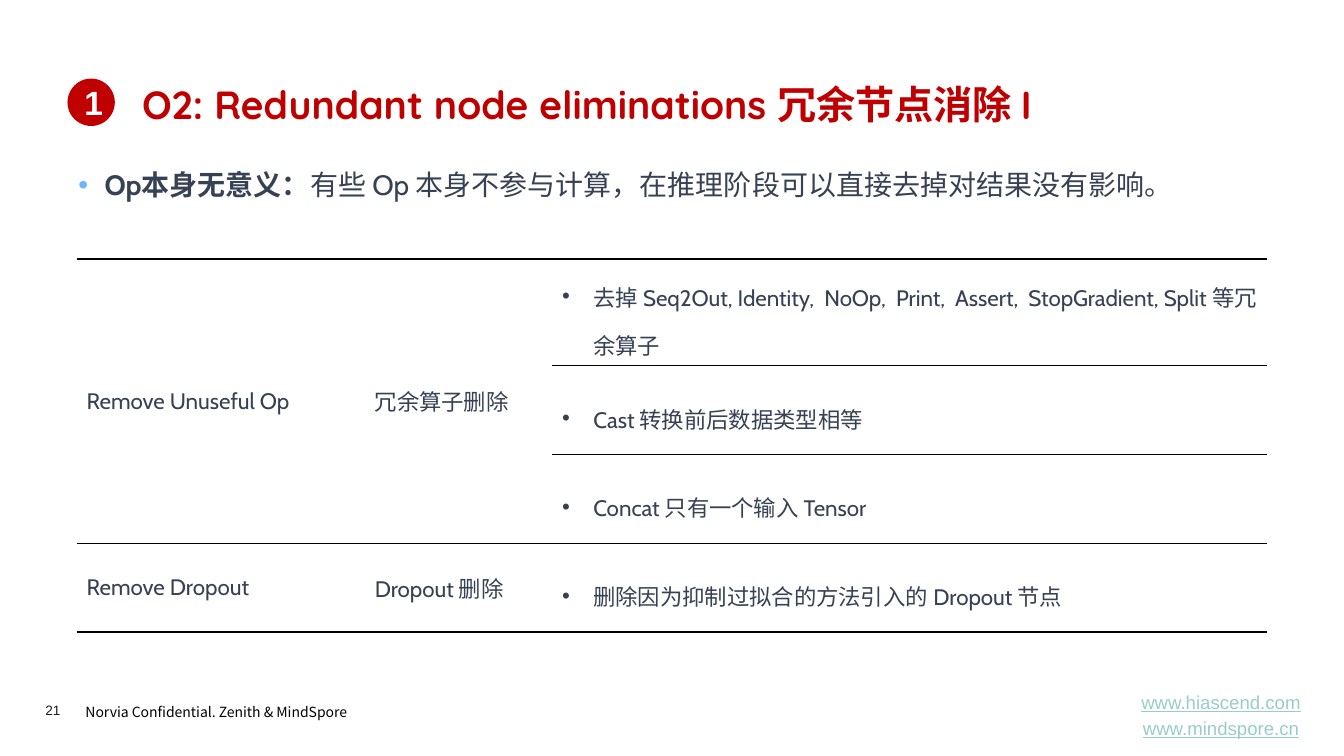
"""Build the slide on redundant node elimination with its table of removed operators."""
from lxml import etree
from pptx import Presentation
from pptx.dml.color import RGBColor
from pptx.enum.shapes import MSO_SHAPE
from pptx.enum.text import MSO_ANCHOR, MSO_AUTO_SIZE, PP_ALIGN
from pptx.oxml.ns import qn
from pptx.util import Inches, Pt

LEFT, CENTER = PP_ALIGN.LEFT, PP_ALIGN.CENTER
TOP, MIDDLE = MSO_ANCHOR.TOP, MSO_ANCHOR.MIDDLE
OVAL, NO_FIT = MSO_SHAPE.OVAL, MSO_AUTO_SIZE.NONE

TITLE = "O2: Redundant node eliminations 冗余节点消除 I"
NUMBER = "1"
INTRO = [("Op本身无意义：", True),
         ("有些 Op 本身不参与计算，在推理阶段可以直接去掉对结果没有影响。", False)]
GROUPS = [
    ("Remove Unuseful Op", "冗余算子删除", [
        "去掉 Seq2Out, Identity,  NoOp,  Print,  Assert,  StopGradient, Split 等冗余算子",
        "Cast 转换前后数据类型相等",
        "Concat 只有一个输入 Tensor"]),
    ("Remove Dropout", "Dropout 删除", ["删除因为抑制过拟合的方法引入的 Dropout 节点"]),
]
FOOTER = "Norvia Confidential. Zenith & MindSpore"
PAGE = "21"
SITES = ["www.hiascend.com", "www.mindspore.cn"]

COLORS = {"red": "C00000", "text": "374154", "bullet": "71B2FF", "link": "99CCCC",
          "page": "1D1D1B", "black": "000000", "white": "FFFFFF"}
CJK = "Noto Sans CJK SC"
WIDTH, HEIGHT = 13.34, 7.5
COLUMNS = [2.86, 1.86, 7.1]
ROWS = [1.06, 0.88, 0.88, 0.88]
OUTER_RULE, INNER_RULE = 2.25, 1


def rgb(color):
    return RGBColor.from_string(COLORS[color])


def format_run(run, size, font, color, bold=False, underline=False):
    run.font.size, run.font.name = Pt(size), font
    run.font.bold, run.font.underline = bold, underline
    run.font.color.rgb = rgb(color)
    latin = run.font._element.find(qn("a:latin"))
    east_asian = etree.Element(qn("a:ea"), typeface=CJK)
    latin.addnext(east_asian)


def add_bullet(paragraph, indent, color):
    properties = paragraph._p.get_or_add_pPr()
    properties.set("marL", str(Inches(indent)))
    properties.set("indent", str(-Inches(indent)))
    bullet_color = etree.SubElement(properties, qn("a:buClr"))
    etree.SubElement(bullet_color, qn("a:srgbClr"), val=COLORS[color])
    etree.SubElement(properties, qn("a:buFont"), typeface="Arial")
    etree.SubElement(properties, qn("a:buChar"), char="•")


def add_text(slide, box, lines, size, font, color, align=LEFT, anchor=TOP,
             margin=None, underline=False, spacing=None):
    frame = slide.shapes.add_textbox(*map(Inches, box)).text_frame
    frame.word_wrap, frame.vertical_anchor = True, anchor
    if margin is not None:
        frame.margin_left = frame.margin_right = Inches(margin)
        frame.margin_top = frame.margin_bottom = Inches(margin)
    frame.text = "\n".join(lines)
    for index, paragraph in enumerate(frame.paragraphs):
        paragraph.alignment = align
        if spacing:
            paragraph.line_spacing = spacing
        if index:
            paragraph.space_before = Pt(size * 0.2)
        format_run(paragraph.runs[0], size, font, color, underline=underline)


def set_borders(cell, top, bottom):
    properties = cell._tc.get_or_add_tcPr()
    widths = {"lnL": None, "lnR": None, "lnT": top, "lnB": bottom}
    for position, (side, width) in enumerate(widths.items()):
        line = etree.Element(qn(f"a:{side}"))
        properties.insert(position, line)
        if width:
            line.set("w", str(Pt(width)))
            fill = etree.SubElement(line, qn("a:solidFill"))
            etree.SubElement(fill, qn("a:srgbClr"), val=COLORS["black"])
        else:
            etree.SubElement(line, qn("a:noFill"))


def add_heading(slide):
    title = slide.shapes.title
    title.left, title.top, title.width, title.height = map(Inches, (1.31, 0.71, 11.36, 0.64))
    frame = title.text_frame
    frame.text = TITLE
    frame.auto_size, frame.vertical_anchor = NO_FIT, MIDDLE
    frame.paragraphs[0].alignment = LEFT
    format_run(frame.paragraphs[0].runs[0], 28, "Quicksand", "red", bold=True)

    badge = slide.shapes.add_shape(OVAL, *map(Inches, (0.67, 0.78, 0.47, 0.47)))
    badge.shadow.inherit = False
    badge.fill.solid()
    badge.fill.fore_color.rgb = rgb("red")
    badge.line.fill.background()
    badge.text_frame.text = NUMBER
    badge.text_frame.vertical_anchor = MIDDLE
    badge.text_frame.paragraphs[0].alignment = CENTER
    format_run(badge.text_frame.paragraphs[0].runs[0], 24, "Arial", "white", bold=True)


def add_intro(slide):
    frame = slide.shapes.add_textbox(*map(Inches, (0.68, 1.55, 11.99, 0.47))).text_frame
    frame.word_wrap = True
    paragraph = frame.paragraphs[0]
    paragraph.line_spacing = 1.2
    add_bullet(paragraph, 0.26, "bullet")
    for words, bold in INTRO:
        run = paragraph.add_run()
        run.text = words
        format_run(run, 20, "Cabin", "text", bold=bold)


def fill_cell(cell, words, bulleted):
    cell.text = words
    paragraph = cell.text_frame.paragraphs[0]
    if bulleted:
        paragraph.line_spacing = 1.5
        add_bullet(paragraph, 0.31, "text")
    format_run(paragraph.runs[0], 16, "Cabin", "text")


def add_operator_table(slide):
    table = slide.shapes.add_table(
        len(ROWS), len(COLUMNS), Inches(0.76), Inches(2.57),
        Inches(sum(COLUMNS)), Inches(sum(ROWS))).table
    table.first_row = table.horz_banding = False
    for column, width in zip(table.columns, COLUMNS):
        column.width = Inches(width)
    for row, height in zip(table.rows, ROWS):
        row.height = Inches(height)
    rules = [OUTER_RULE] + [INNER_RULE] * (len(ROWS) - 1) + [OUTER_RULE]

    start = 0
    for name, translation, details in GROUPS:
        end = start + len(details)
        for row in range(start, end):
            for column in range(len(COLUMNS)):
                cell = table.cell(row, column)
                cell.fill.solid()
                cell.fill.fore_color.rgb = rgb("white")
                cell.vertical_anchor = MIDDLE
                is_detail = column == len(COLUMNS) - 1
                set_borders(cell,
                            rules[row] if is_detail or row == start else None,
                            rules[row + 1] if is_detail or row + 1 == end else None)
            fill_cell(table.cell(row, 2), details[row - start], True)
        for column, label in enumerate((name, translation)):
            if len(details) > 1:
                table.cell(start, column).merge(table.cell(end - 1, column))
            fill_cell(table.cell(start, column), label, False)
        start = end


def main():
    deck = Presentation()
    deck.slide_width, deck.slide_height = Inches(WIDTH), Inches(HEIGHT)
    slide = deck.slides.add_slide(deck.slide_layouts[5])
    add_text(slide, (0.75, 6.9, 3.13, 0.29), [FOOTER], 10, CJK, "black", spacing=1.2)
    add_text(slide, (0.45, 6.96, 0.55, 0.16), [PAGE], 9.7, "Arial", "page", margin=0)
    add_text(slide, (11.04, 6.88, 2.16, 0.43), SITES, 13.3, "Arial", "link",
             align=CENTER, anchor=MIDDLE, underline=True)
    add_heading(slide)
    add_intro(slide)
    add_operator_table(slide)
    deck.save("out.pptx")


if __name__ == "__main__":
    main()
